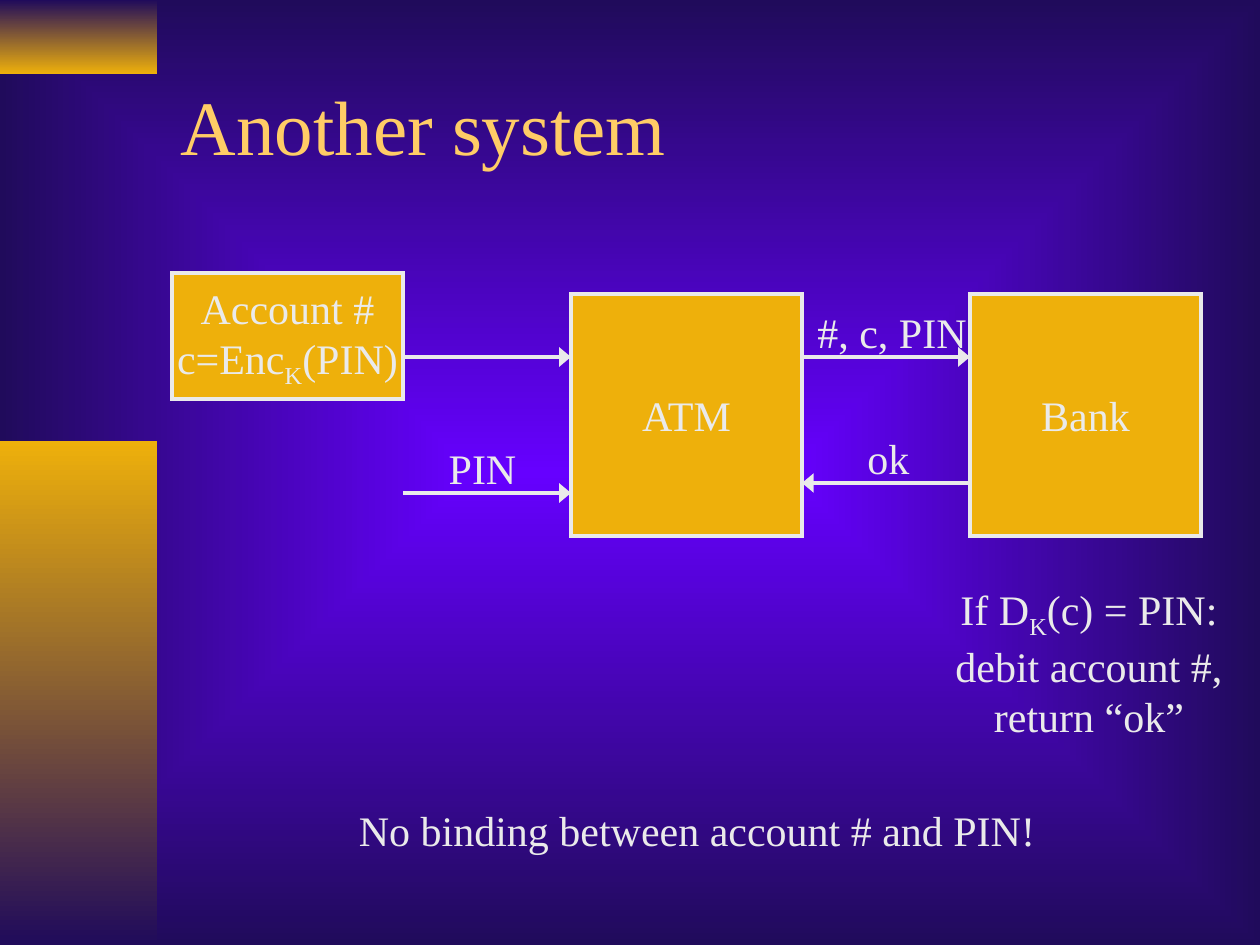
import lxml.etree
import pptx
import pptx.dml.color
import pptx.enum.shapes
import pptx.enum.text
import pptx.oxml
import pptx.oxml.ns
import pptx.util

PX_PER_INCH = 126
COLORS = {
    "gold": "EEB00B",
    "navy": "200B5B",
    "violet": "6600FF",
    "title": "FFCC66",
    "light": "EAEAEA",
}
ALIGN = pptx.enum.text.PP_ALIGN
ANCHOR = pptx.enum.text.MSO_ANCHOR


def px(value):
    return pptx.util.Emu(round(value * 914400 / PX_PER_INCH))


def color(name):
    return pptx.dml.color.RGBColor.from_string(COLORS[name])


def add_element(parent, tag, **attributes):
    lxml.etree.SubElement(parent, pptx.oxml.ns.qn(tag), **attributes)


def write_text(shape, lines, size=24, tint="light", align=ALIGN.CENTER,
               anchor=ANCHOR.MIDDLE, wrap=False):
    frame = shape.text_frame
    frame.word_wrap = wrap
    frame.vertical_anchor = anchor
    for index, line in enumerate(lines):
        paragraph = frame.paragraphs[0] if index == 0 else frame.add_paragraph()
        paragraph.alignment = align
        parts = [line] if isinstance(line, str) else line
        for position, part in enumerate(parts):
            run = paragraph.add_run()
            run.text = part
            run.font.name = "Times New Roman"
            run.font.size = pptx.util.Pt(size)
            run.font.color.rgb = color(tint)
            if position % 2:
                run._r.get_or_add_rPr().set("baseline", "-25000")


class Diagram:
    def __init__(self, slide, line_width=2.25):
        self.slide = slide
        self.line_width = pptx.util.Pt(line_width)

    def gradient(self, fill, start, end):
        fill.gradient()
        for stop, name in zip(fill.gradient_stops, (start, end)):
            stop.color.rgb = color(name)

    def background(self, center, edge):
        self.gradient(self.slide.background.fill, center, edge)
        gradient = next(self.slide.element.iter(pptx.oxml.ns.qn("a:gradFill")))
        linear = gradient.find(pptx.oxml.ns.qn("a:lin"))
        gradient.replace(linear, pptx.oxml.parse_xml(
            f'<a:path {pptx.oxml.ns.nsdecls("a")} path="rect">'
            '<a:fillToRect l="50000" t="50000" r="50000" b="50000"/></a:path>'))

    def outline(self, shape):
        shape.line.color.rgb = color("light")
        shape.line.width = self.line_width
        line = shape.line._get_or_add_ln()
        add_element(line, "a:miter", lim="800000")
        return line

    def rectangle(self, left, top, width, height):
        shape = self.slide.shapes.add_shape(
            pptx.enum.shapes.MSO_SHAPE.RECTANGLE,
            px(left), px(top), px(width), px(height))
        shape.shadow.inherit = False
        return shape

    def band(self, top, height, start, end):
        shape = self.rectangle(0, top, 157, height)
        self.gradient(shape.fill, start, end)
        shape.fill.gradient_angle = 270
        shape.line.fill.background()

    def title(self, text, left, top, width, height):
        shape = self.slide.shapes.title
        shape.left, shape.top = px(left), px(top)
        shape.width, shape.height = px(width), px(height)
        write_text(shape, [text], size=44, tint="title", align=ALIGN.LEFT, wrap=True)

    def box(self, lines, left, top, width, height):
        shape = self.rectangle(left, top, width, height)
        shape.fill.solid()
        shape.fill.fore_color.rgb = color("gold")
        self.outline(shape)
        write_text(shape, lines)

    def label(self, lines, left, top, width, height=63):
        shape = self.slide.shapes.add_textbox(px(left), px(top), px(width), px(height))
        write_text(shape, lines, anchor=ANCHOR.TOP)
        shape.text_frame.auto_size = pptx.enum.text.MSO_AUTO_SIZE.SHAPE_TO_FIT_TEXT

    def arrow(self, start, end, y):
        connector = self.slide.shapes.add_connector(
            pptx.enum.shapes.MSO_CONNECTOR.STRAIGHT, px(start), px(y), px(end), px(y))
        line = self.outline(connector)
        add_element(line, "a:tailEnd", type="triangle", w="lg", len="med")
        add_element(connector._element.spPr, "a:effectLst")


def main():
    presentation = pptx.Presentation()
    presentation.slide_width = px(1260)
    presentation.slide_height = px(945)
    slide = presentation.slides.add_slide(presentation.slide_layouts[5])
    diagram = Diagram(slide)

    diagram.background("violet", "navy")
    diagram.band(0, 74, "navy", "gold")
    diagram.band(441, 504, "gold", "navy")
    diagram.title("Another system", 168, 42, 1071, 166)

    box_width = 231
    card, atm, bank = (172 + 399 * column for column in range(3))
    card_right, atm_right = card + box_width, atm + box_width
    diagram.box(["Account #", ("c=Enc", "K", "(PIN)")], card, 273, box_width, 126)
    for name, left in (("ATM", atm), ("Bank", bank)):
        diagram.box([name], left, 294, box_width, 242)

    for start, end, y in ((card_right, atm, 357), (card_right, atm, 493),
                          (atm_right, bank, 357), (bank, atm_right, 483)):
        diagram.arrow(start, end, y)

    diagram.label(["PIN"], 434, 436, 97)
    diagram.label(["#, c, PIN"], 802, 300, 180)
    diagram.label(["ok"], 853, 426, 71)
    diagram.label([("If D", "K", "(c) = PIN:"), "debit account #,", "return “ok”"],
                  941, 577, 296, 171)
    diagram.label(["No binding between account # and PIN!"], 344, 798, 706)

    presentation.save("out.pptx")


if __name__ == "__main__":
    main()
